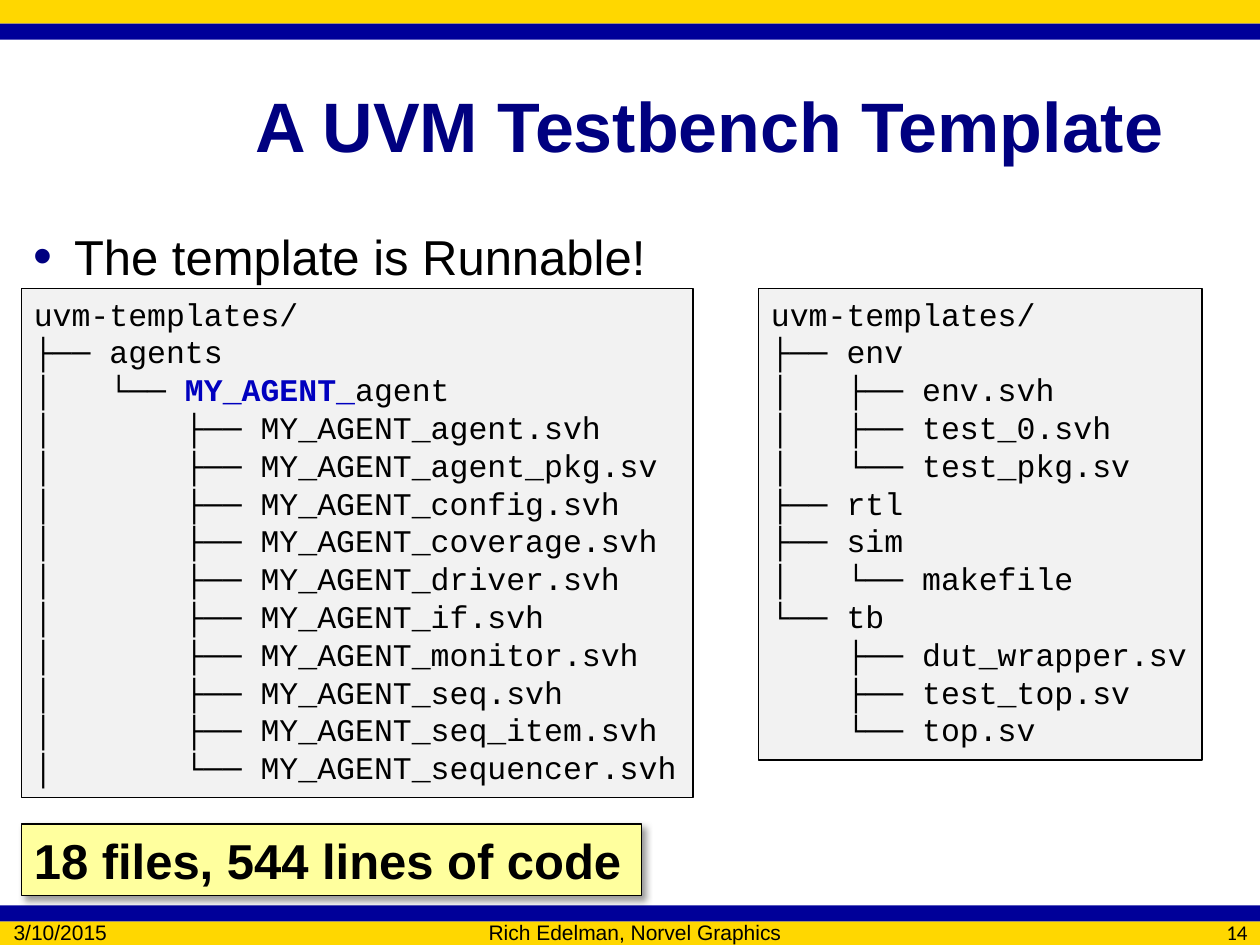
from lxml.etree import SubElement
from pptx import Presentation
from pptx.dml.color import RGBColor
from pptx.enum.shapes import MSO_SHAPE
from pptx.enum.text import MSO_ANCHOR, MSO_AUTO_SIZE, PP_ALIGN
from pptx.oxml.ns import qn
from pptx.util import Inches, Pt

deck = Presentation()
deck.slide_width, deck.slide_height = Inches(10), Inches(7.5)
slide = deck.slides.add_slide(deck.slide_layouts[6])
col, row = deck.slide_width / 100, deck.slide_height / 100
rgb = RGBColor.from_string


def block(left, top, wide, high, fill=None, line=0):
    area = [round(n) for n in (left * col, top * row, wide * col, high * row)]
    if not fill:
        return slide.shapes.add_textbox(*area)
    shape = slide.shapes.add_shape(MSO_SHAPE.RECTANGLE, *area)
    shape.shadow.inherit = False
    shape.fill.solid()
    shape.fill.fore_color.rgb = rgb(fill)
    if line:
        shape.line.color.rgb = rgb("000000")
        shape.line.width = Pt(line)
    else:
        shape.line.fill.background()
    return shape


def write(shape, lines, size, face="Arial", color="000000", bold=False,
          align=PP_ALIGN.LEFT, anchor=MSO_ANCHOR.TOP, wrap=True):
    frame = shape.text_frame
    frame.word_wrap = wrap
    frame.vertical_anchor = anchor
    frame.auto_size = MSO_AUTO_SIZE.NONE if wrap else MSO_AUTO_SIZE.SHAPE_TO_FIT_TEXT
    for at, line in enumerate(lines):
        para = frame.add_paragraph() if at else frame.paragraphs[0]
        para.alignment = align
        font = para.font
        font.size, font.name, font.bold = Pt(size), face, bold
        font.color.rgb = rgb(color)
        for part in line.split("*"):
            if part:
                para.add_run().text = part
    return frame.paragraphs


gold, navy = "FFD700", "000099"
for top, high, fill in [(0, 2.5, gold), (2.5, 1.7, navy),
                        (97.5, 2.5, gold), (95.8, 1.7, navy)]:
    block(0, top, 100, high, fill)

write(block(19.3, 4.8, 79, 16.67), ["A UVM Testbench Template"], 40,
      color="000080", bold=True, anchor=MSO_ANCHOR.MIDDLE)

point = write(block(1.7, 23.33, 96.7, 71), ["The template is Runnable!"], 28)[0]
point.space_before = Pt(5.6)
props = point._p.get_or_add_pPr()
props.set("marL", str(Inches(0.32)))
props.set("indent", str(-Inches(0.32)))
marks = [SubElement(props, qn("a:" + tag)) for tag in ("buClr", "buSzPct", "buFont", "buChar")]
SubElement(marks[0], qn("a:srgbClr")).set("val", "000080")
marks[1].set("val", "110000")
marks[2].set("typeface", "Arial")
marks[3].set("char", "•")
fore = props.find(qn("a:defRPr"))
props.remove(fore)
props.append(fore)

for left, wide, text, align, face in [
        (0.1, 11.6, "3/10/2015", PP_ALIGN.LEFT, "Arial"),
        (12.5, 75.8, "Rich Edelman, Norvel Graphics", PP_ALIGN.CENTER, "Arial"),
        (90, 10, "14", PP_ALIGN.RIGHT, "Calibri")]:
    write(block(left, 97.47, wide, 2.27), [text], 12, face,
          align=align, anchor=MSO_ANCHOR.MIDDLE)

tee, end = "├── ", "└── "
gap = "\u00a0" * 4
bar = "│\u00a0\u00a0 "
root = "uvm-templates/"
files = ["agent.svh", "agent_pkg.sv", "config.svh", "coverage.svh", "driver.svh", "if.svh",
         "monitor.svh", "seq.svh", "seq_item.svh", "sequencer.svh"]
agents = [root, tee + "agents", bar + end + "*MY_AGENT_*agent"]
agents += [bar + gap + (end if name == files[-1] else tee) + "MY_AGENT_" + name
           for name in files]

tree = {"env": ["env.svh", "test_0.svh", "test_pkg.sv"], "rtl": [],
        "sim": ["makefile"], "tb": ["dut_wrapper.sv", "test_top.sv", "top.sv"]}
dirs = [root]
for name, leaves in tree.items():
    last = name == "tb"
    dirs.append((end if last else tee) + name)
    dirs += [(gap if last else bar) + (end if leaf == leaves[-1] else tee) + leaf
             for leaf in leaves]

for left, wide, high, lines in [(60.2, 35.2, 49.87, dirs), (1.7, 53.3, 53.87, agents)]:
    panel = block(left, 30.53, wide, high, "F2F2F2", 1)
    paras = write(panel, lines, 18, "Courier New", wrap=False)
key = paras[2].runs[1].font
key.bold = True
key.color.rgb = rgb("0000BF")

note = block(1.7, 87.2, 49.2, 7.6, "FFFF9E", 0.75)
write(note, ["18 files, 544 lines of code"], 28, bold=True, wrap=False)
shade = SubElement(note.element.spPr.find(qn("a:effectLst")), qn("a:outerShdw"),
                   blurRad=str(Pt(4)), dist=str(Pt(3)), dir="2700000", algn="tl")
tint = SubElement(shade, qn("a:srgbClr"), val="000000")
SubElement(tint, qn("a:alpha"), val="40000")

deck.save("out.pptx")
